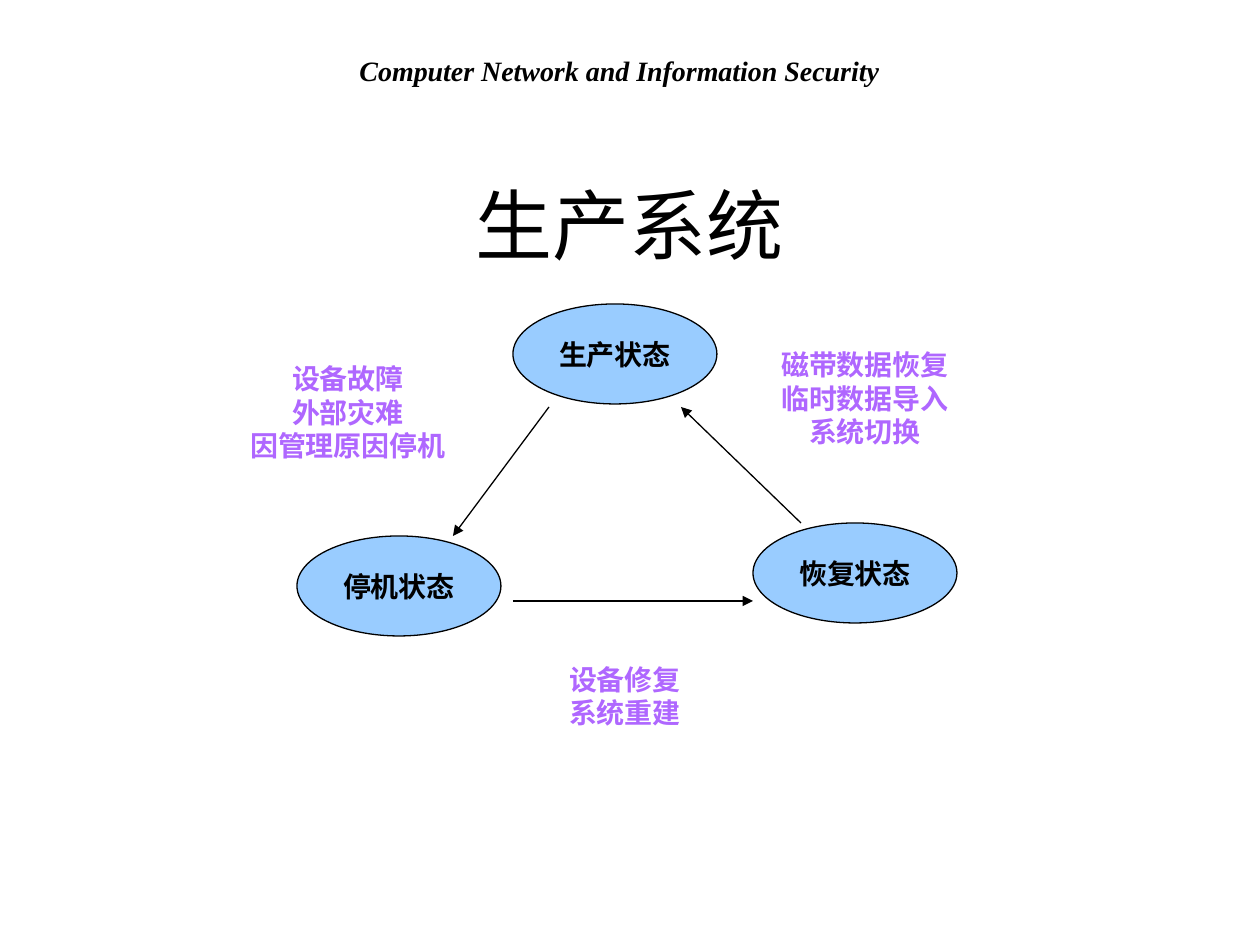
from lxml import etree
from pptx import Presentation
from pptx.dml.color import RGBColor
from pptx.enum.shapes import MSO_CONNECTOR, MSO_SHAPE
from pptx.enum.text import MSO_ANCHOR, MSO_AUTO_SIZE, PP_ALIGN
from pptx.oxml.ns import qn
from pptx.util import Emu, Pt

PIXELS_PER_INCH = 126
BLACK = RGBColor(0x00, 0x00, 0x00)
WHITE = RGBColor(0xFF, 0xFF, 0xFF)
SKY = RGBColor(0x99, 0xCC, 0xFF)
PURPLE = RGBColor(0xAF, 0x67, 0xFF)

STATE_SIZE = (204, 100)
STATES = [
    ("生产状态", 513, 304),
    ("停机状态", 297, 536),
    ("恢复状态", 753, 523),
]
CAUSE_SIZE = (152, 164)
CAUSES = [
    ("设备故障\n外部灾难\n因管理原因停机", 272, 330),
    ("设备修复\n系统重建", 549, 614),
    ("磁带数据恢复\n临时数据导入\n系统切换", 789, 316),
]
TRANSITIONS = [
    (549, 407, 453, 536),
    (513, 601, 753, 601),
    (801, 523, 681, 407),
]


def px(*lengths):
    return [Emu(round(length * 914400 / PIXELS_PER_INCH)) for length in lengths]


def write_text(shape, text, size, color, font="Arial", bold=True, italic=False, wrap=False):
    text_frame = shape.text_frame
    text_frame.text = text
    text_frame.word_wrap = wrap
    text_frame.auto_size = MSO_AUTO_SIZE.NONE
    text_frame.vertical_anchor = MSO_ANCHOR.MIDDLE
    for paragraph in text_frame.paragraphs:
        paragraph.alignment = PP_ALIGN.CENTER
        for run in paragraph.runs:
            run.font.name = font
            run.font.size = Pt(size)
            run.font.bold = bold
            run.font.italic = italic
            run.font.color.rgb = color


def add_header(slide, text):
    header = slide.shapes.add_textbox(*px(203, 47, 833, 47))
    header.fill.solid()
    header.fill.fore_color.rgb = WHITE
    write_text(header, text, 16, BLACK, "Times New Roman", italic=True, wrap=True)


def set_title(slide, text):
    title = slide.shapes.title
    title.left, title.top, title.width, title.height = px(63, 175, 1134, 98)
    write_text(title, text, 44, BLACK, bold=False, wrap=True)


def add_state(slide, text, left, top):
    state = slide.shapes.add_shape(MSO_SHAPE.OVAL, *px(left, top, *STATE_SIZE))
    state.shadow.inherit = False
    state.fill.solid()
    state.fill.fore_color.rgb = SKY
    state.line.color.rgb = BLACK
    state.line.width = Pt(0.75)
    write_text(state, text, 16, BLACK)


def add_cause(slide, text, left, top):
    cause = slide.shapes.add_textbox(*px(left, top, *CAUSE_SIZE))
    write_text(cause, text, 16, PURPLE)


def add_transition(slide, *ends):
    arrow = slide.shapes.add_connector(MSO_CONNECTOR.STRAIGHT, *px(*ends))
    arrow.line.color.rgb = BLACK
    arrow.line.width = Pt(0.75)
    etree.SubElement(arrow.line._get_or_add_ln(), qn("a:tailEnd"), type="triangle")
    etree.SubElement(arrow._element.spPr, qn("a:effectLst"))


def main():
    presentation = Presentation()
    presentation.slide_width, presentation.slide_height = px(1260, 945)
    slide = presentation.slides.add_slide(presentation.slide_layouts[5])
    add_header(slide, "Computer Network and Information Security")
    set_title(slide, "生产系统")
    for state in STATES:
        add_state(slide, *state)
    for cause in CAUSES:
        add_cause(slide, *cause)
    for transition in TRANSITIONS:
        add_transition(slide, *transition)
    presentation.save("out.pptx")


if __name__ == "__main__":
    main()
